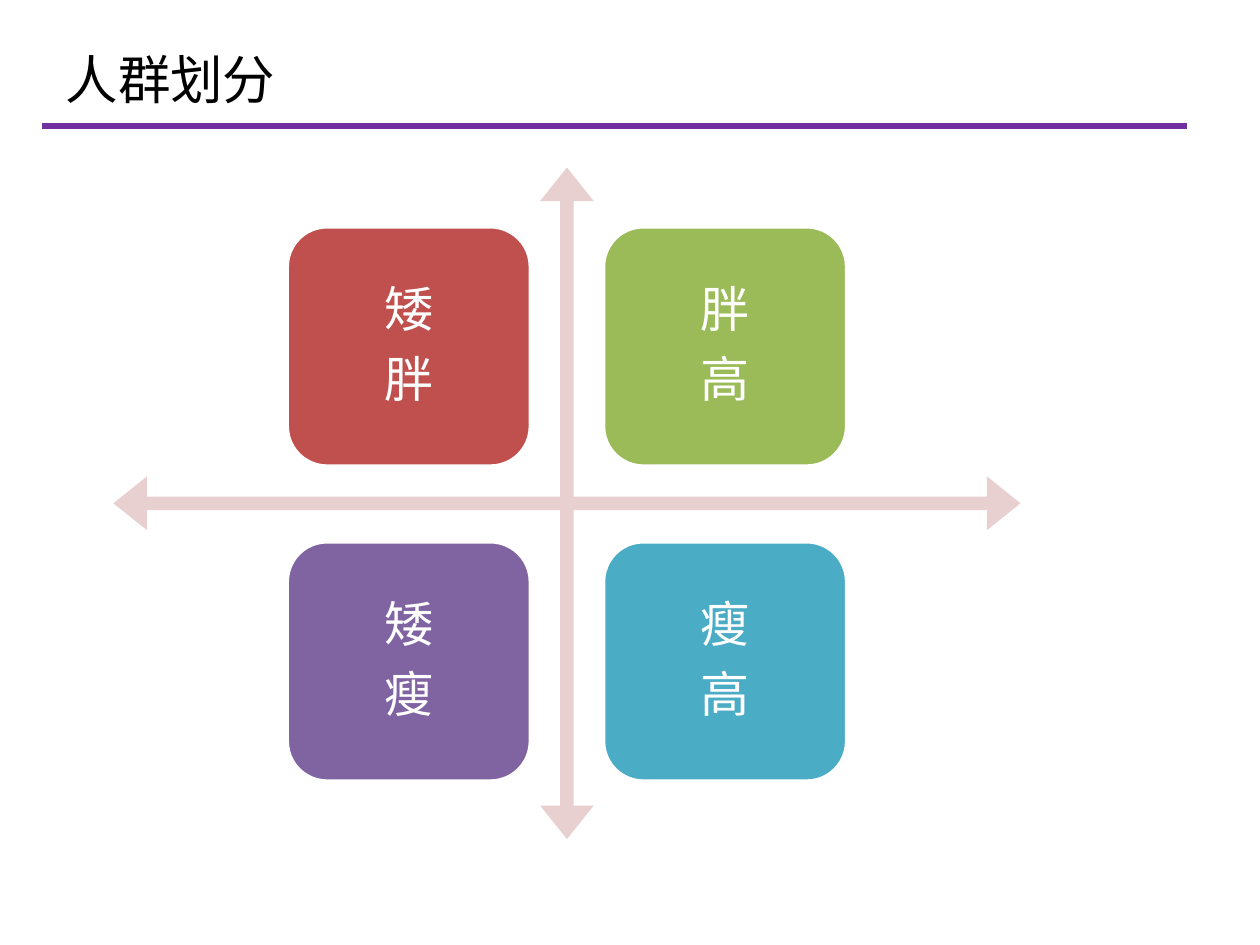
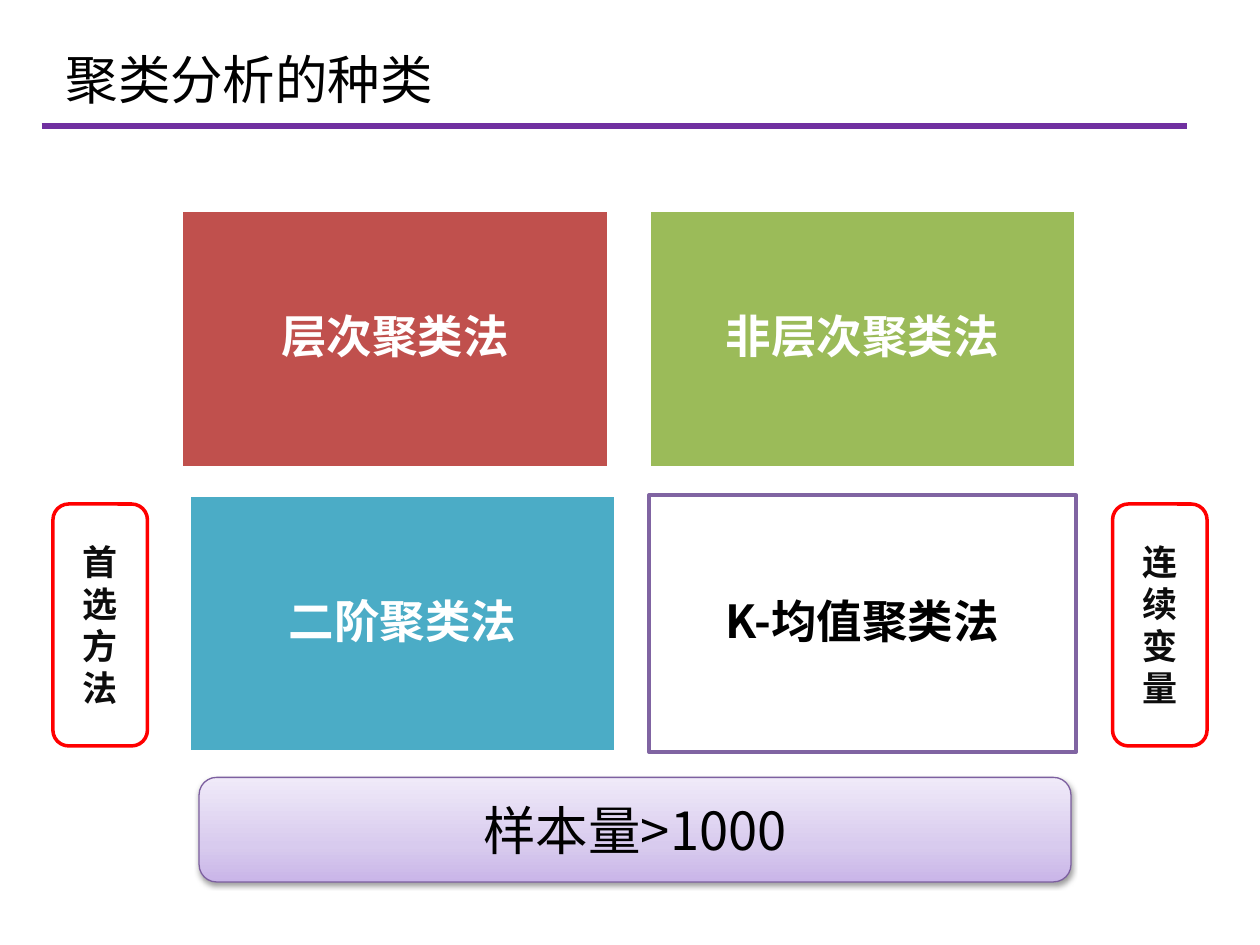
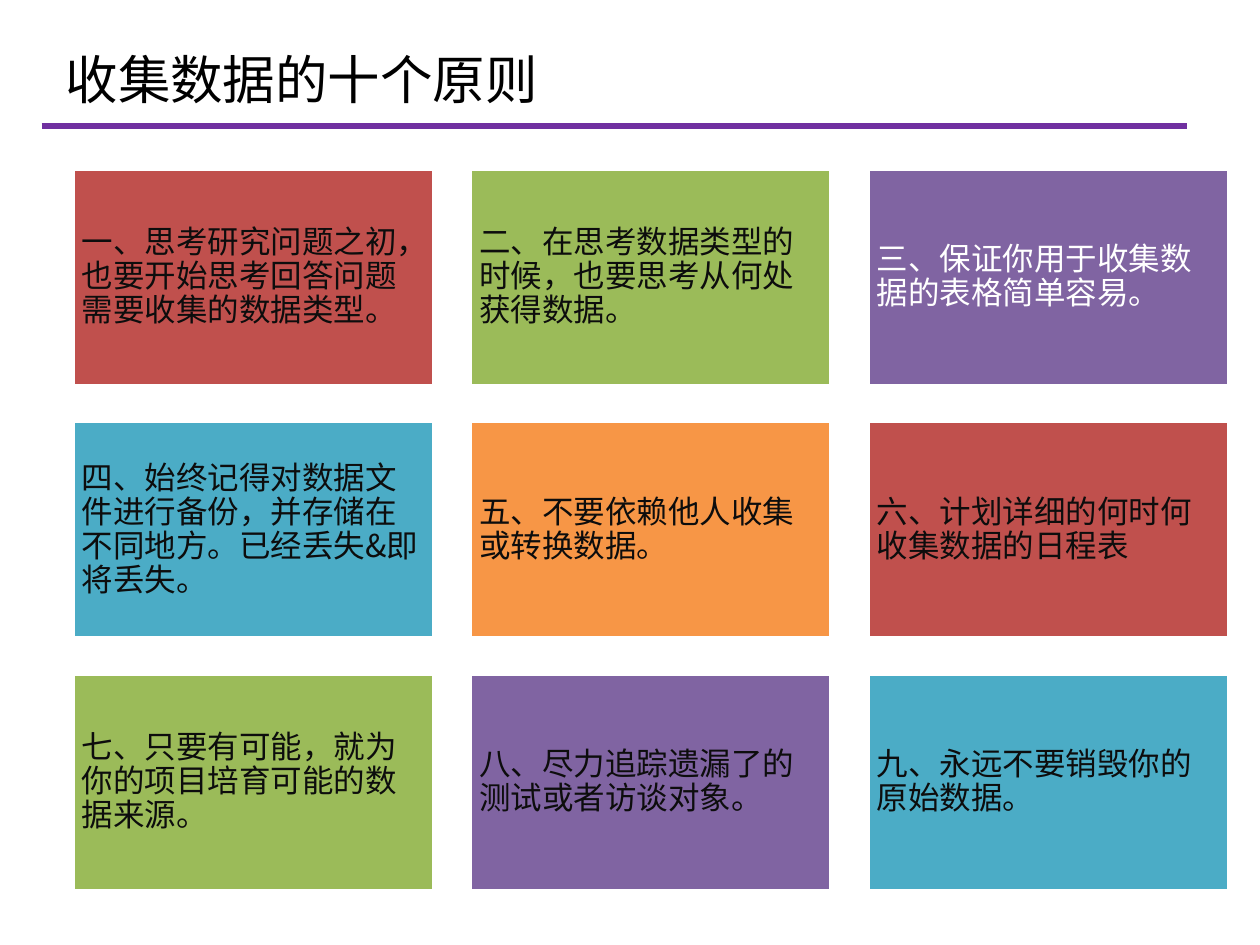
"""Build three slides on cluster analysis and data collection."""
from dataclasses import dataclass
from typing import Any, NamedTuple, Optional

from lxml import etree
from pptx import Presentation
from pptx.dml.color import RGBColor
from pptx.enum import shapes, text
from pptx.oxml import ns
from pptx.util import Inches, Pt

KIND = shapes.MSO_SHAPE
MID = text.MSO_ANCHOR.MIDDLE
LEFT, MIDST = text.PP_ALIGN.LEFT, text.PP_ALIGN.CENTER


@dataclass(frozen=True)
class Theme:
    """Colours, font and type sizes of the deck."""
    font: str = "Noto Sans CJK SC"
    black: str = "000000"
    ink: str = "0D0D0D"
    white: str = "FFFFFF"
    rule: str = "7030A0"
    red: str = "C0504D"
    green: str = "9BBB59"
    plum: str = "8064A2"
    teal: str = "4BACC6"
    gold: str = "F79646"
    blush: str = "E8D0D0"
    alert: str = "FF0000"
    edge: str = "7D60A0"
    fade: tuple = ((0, "C9B5E8"), (35, "D8CBEE"), (100, "F0EAF9"))
    head: int = 30
    quad: int = 28
    type: int = 26
    tag: int = 20
    note: int = 18


T = Theme()


class Area(NamedTuple):
    """Left, top, width and height in inches."""
    x: float
    y: float
    w: float
    h: float


class Style(NamedTuple):
    """Look of the text inside a box."""
    size: int
    color: str = T.white
    bold: bool = False
    align: Any = MIDST
    pad: Optional[float] = None
    lead: Optional[float] = None
    after: float = 0


class Box(NamedTuple):
    """A filled shape with lines of text."""
    area: Area
    lines: tuple
    style: Style
    fill: Optional[str] = None
    line: Optional[str] = T.white
    width: float = 2
    kind: Any = KIND.RECTANGLE


def put(item: Any, **vals: Any) -> None:
    """Set each named value on an item."""
    for name, val in vals.items():
        setattr(item, name, val)


def rgb(code: str) -> RGBColor:
    """Turn a hex code into a colour."""
    return RGBColor.from_string(code)


def sub(root: Any, tag: str, **vals: Any) -> Any:
    """Add a drawing element with attributes."""
    return etree.SubElement(root, ns.qn(tag), {k: str(v) for k, v in vals.items()})


def write(frame: Any, lines: tuple, style: Style) -> None:
    """Fill a text frame with styled paragraphs."""
    put(frame, word_wrap=True, vertical_anchor=MID)
    if style.pad is not None:
        sides = ("left", "right", "top", "bottom")
        put(frame, **{f"margin_{s}": Inches(style.pad) for s in sides})
    for i, line in enumerate(lines):
        para = frame.add_paragraph() if i else frame.paragraphs[0]
        put(para, alignment=style.align, line_spacing=style.lead, space_after=Pt(style.after))
        run = para.add_run()
        run.text = line
        put(run.font, size=Pt(style.size), bold=style.bold, name=T.font)
        run.font.color.rgb = rgb(style.color)
        sub(run.font._element, "a:ea", typeface=T.font)


def draw(slide: Any, box: Box) -> Any:
    """Draw a box and return its shape."""
    shape = slide.shapes.add_shape(box.kind, *map(Inches, box.area))
    shape.shadow.inherit = False
    if box.fill:
        shape.fill.solid()
        shape.fill.fore_color.rgb = rgb(box.fill)
    else:
        shape.fill.background()
    if box.line:
        shape.line.color.rgb = rgb(box.line)
        shape.line.width = Pt(box.width)
    else:
        shape.line.fill.background()
    if box.lines:
        write(shape.text_frame, box.lines, box.style)
    return shape


def glow(shape: Any) -> None:
    """Give a shape the upward fade and a soft shadow."""
    shape.fill.gradient()
    shape.fill.gradient_angle = 90
    props = shape._element.spPr
    stops = props.find(".//" + ns.qn("a:gsLst"))
    for old in list(stops):
        stops.remove(old)
    for pos, code in T.fade:
        sub(sub(stops, "a:gs", pos=pos * 1000), "a:srgbClr", val=code)
    cast = sub(props.find(ns.qn("a:effectLst")), "a:outerShdw", blurRad=Pt(3.1),
               dist=Pt(1.6), dir=90 * 60000, rotWithShape=0)
    sub(sub(cast, "a:srgbClr", val=T.black), "a:alpha", val=38000)


def start(deck: Any, title: str) -> Any:
    """Add a slide with its title and rule."""
    slide = deck.slides.add_slide(deck.slide_layouts[5])
    rule = slide.shapes.add_connector(
        shapes.MSO_CONNECTOR.STRAIGHT, *map(Inches, (0.33, 1, 9.42, 1)))
    rule.line.color.rgb = rgb(T.rule)
    rule.line.width = Pt(3.75)
    sub(rule._element.spPr, "a:effectLst")
    head = slide.shapes.title
    put(head, left=Inches(0.42), top=Inches(0), width=Inches(9), height=Inches(1.25))
    write(head.text_frame, (title,), Style(T.head, T.black, align=LEFT))
    return slide


def groups(deck: Any) -> None:
    """Draw the four body types around crossed arrows."""
    slide = start(deck, "人群划分")
    style = Style(T.quad, pad=0.12, lead=0.9, after=9.8)
    cross = draw(slide, Box(Area(0.9, 1.33, 7.2, 5.33), (), style, T.blush, None,
                            kind=KIND.QUAD_ARROW))
    for i, val in enumerate((0.02, 0.04, 0.05)):
        cross.adjustments[i] = val
    cells = (("矮胖", T.red), ("胖高", T.green), ("矮瘦", T.plum), ("瘦高", T.teal))
    for i, (name, fill) in enumerate(cells):
        row, col = divmod(i, 2)
        area = Area(2.28 + 2.51 * col, 1.8 + 2.5 * row, 1.93, 1.9)
        draw(slide, Box(area, tuple(name), style, fill, kind=KIND.ROUNDED_RECTANGLE))


def kinds(deck: Any) -> None:
    """Draw the kinds of cluster analysis and their tags."""
    slide = start(deck, "聚类分析的种类")
    cells = (
        (1.44, 1.67, "层次聚类法", T.white, T.red, T.white),
        (5.15, 1.67, "非层次聚类法", T.white, T.green, T.white),
        (5.15, 3.93, "K-均值聚类法", T.black, T.white, T.plum),
        (1.5, 3.93, "二阶聚类法", T.white, T.teal, T.white),
    )
    for x, y, name, ink, fill, line in cells:
        style = Style(T.type, ink, True, pad=0.11, lead=0.9)
        draw(slide, Box(Area(x, y, 3.39, 2.04), (name,), style, fill, line))
    glow(draw(slide, Box(Area(1.58, 6.17, 6.92, 0.83), ("样本量>1000",),
                         Style(T.head, T.black), T.white, T.edge, 0.75,
                         KIND.ROUNDED_RECTANGLE)))
    for x, name in ((8.83, "连续变量"), (0.42, "首选方法")):
        draw(slide, Box(Area(x, 4, 0.75, 1.92), (name,), Style(T.tag, T.ink, True),
                        line=T.alert, kind=KIND.ROUNDED_RECTANGLE))


def rules(deck: Any) -> None:
    """Draw the grid of data collection principles."""
    slide = start(deck, "收集数据的十个原则")
    notes = (
        "一、思考研究问题之初，也要开始思考回答问题需要收集的数据类型。",
        "二、在思考数据类型的时候，也要思考从何处获得数据。",
        "三、保证你用于收集数据的表格简单容易。",
        "四、始终记得对数据文件进行备份，并存储在不同地方。已经丢失&即将丢失。",
        "五、不要依赖他人收集或转换数据。",
        "六、计划详细的何时何收集数据的日程表",
        "七、只要有可能，就为你的项目培育可能的数据来源。",
        "八、尽力追踪遗漏了的测试或者访谈对象。",
        "九、永远不要销毁你的原始数据。",
    )
    fills = (T.red, T.green, T.plum, T.teal, T.gold)
    for i, note in enumerate(notes):
        row, col = divmod(i, 3)
        ink = T.white if i == 2 else T.ink
        style = Style(T.note, ink, align=LEFT, pad=0.07, lead=0.9)
        area = Area(0.58 + 3.155 * col, 1.34 + 2.005 * row, 2.86, 1.72)
        draw(slide, Box(area, (note,), style, fills[i % len(fills)]))


def main() -> None:
    """Build and save the deck."""
    deck = Presentation()
    put(deck, slide_width=Inches(10), slide_height=Inches(7.5))
    for build in (groups, kinds, rules):
        build(deck)
    deck.save("out.pptx")


if __name__ == "__main__":
    main()
